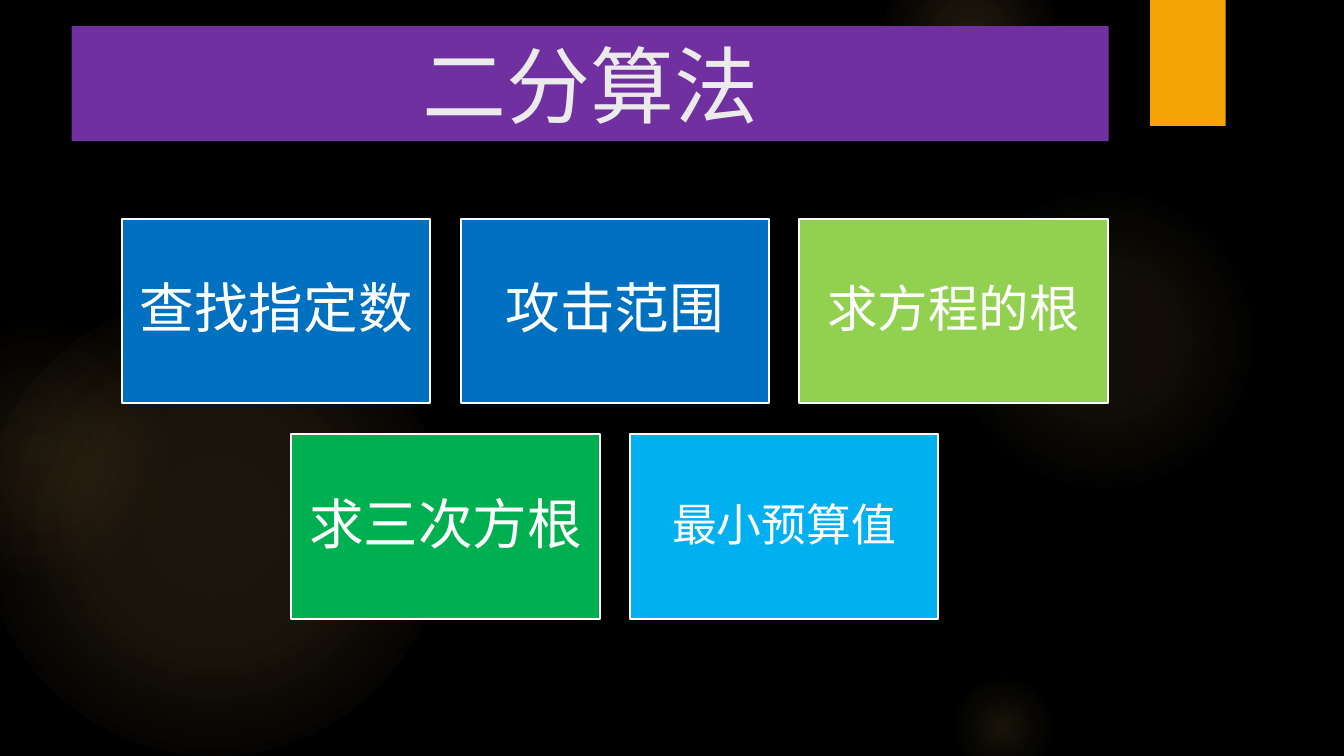
"""Build a slide listing five uses of binary search."""
from typing import NamedTuple

from lxml import etree
from pptx import Presentation
from pptx.dml.color import RGBColor
from pptx.enum.shapes import MSO_SHAPE
from pptx.enum.text import MSO_ANCHOR, PP_ALIGN
from pptx.oxml import parse_xml
from pptx.oxml.ns import nsdecls, qn
from pptx.util import Pt

RECTANGLE = MSO_SHAPE.RECTANGLE
OVAL = MSO_SHAPE.OVAL
MIDDLE = MSO_ANCHOR.MIDDLE
CENTER = PP_ALIGN.CENTER

CARD_WIDTH, CARD_HEIGHT = 220.32, 131.76
COLUMN_PITCH, ROW_PITCH = 241.92, 154.08
CARDS_CENTER, CARDS_TOP = 439.2, 156.24
CARD_FONT = "Noto Sans CJK SC"
GOLD = "FAC96A"


class Glow(NamedTuple):
    left: float
    top: float
    size: float
    opacity: int
    middle_stop: int
    middle_opacity: int
    end_stop: int
    end_color: str = GOLD


class Card(NamedTuple):
    text: str
    fill: str
    size: int = 39
    inset: float = 11.5


GLOWS = [
    Glow(-12.24, 210.24, 329.76, 11, 36, 10, 75),
    Glow(-66.24, 228.24, 185.76, 8, 36, 5, 71, "F59B74"),
    Glow(677.52, 131.76, 221.76, 7, 36, 6, 69),
    Glow(630, -36, 126, 14, 36, 7, 73),
    Glow(677.52, 480.24, 77.76, 10, 31, 5, 66),
]

CARD_ROWS = [
    [
        Card("查找指定数", "0070C0"),
        Card("攻击范围", "0070C0"),
        Card("求方程的根", "92D050", 36, 10.8),
    ],
    [
        Card("求三次方根", "00B050"),
        Card("最小预算值", "00B0F0", 32, 9.4),
    ],
]


def color(value: str) -> RGBColor:
    """Turn a hex string into a colour."""
    return RGBColor.from_string(value)


def add_block(slide, kind, left: float, top: float, width: float, height: float,
              fill: str | None = None, line: str | None = None):
    """Add a shape with an optional solid fill and outline."""
    shape = slide.shapes.add_shape(kind, Pt(left), Pt(top), Pt(width), Pt(height))
    shape.shadow.inherit = False
    if fill:
        shape.fill.solid()
        shape.fill.fore_color.rgb = color(fill)
    else:
        shape.fill.background()
    if line:
        shape.line.color.rgb = color(line)
        shape.line.width = Pt(1.5)
    else:
        shape.line.fill.background()
    return shape


def write_text(shape, text: str, font_name: str, size: float, text_color: str,
               inset: float, line_spacing: float = 1.0) -> None:
    """Put one centred line of text into a shape."""
    frame = shape.text_frame
    frame_format = {
        "word_wrap": True,
        "vertical_anchor": MIDDLE,
        "margin_left": Pt(inset),
        "margin_right": Pt(inset),
        "margin_top": Pt(inset),
        "margin_bottom": Pt(inset),
    }
    for name, value in frame_format.items():
        setattr(frame, name, value)
    paragraph = frame.paragraphs[0]
    paragraph.alignment = CENTER
    paragraph.line_spacing = line_spacing
    run = paragraph.add_run()
    run.text = text
    for name, value in {"name": font_name, "size": Pt(size)}.items():
        setattr(run.font, name, value)
    run.font.color.rgb = color(text_color)
    east_asian = etree.SubElement(run.font._element, qn("a:ea"))
    east_asian.set("typeface", font_name)


def add_glow(slide, glow: Glow) -> None:
    """Add a circle that fades out from its centre."""
    shape = add_block(slide, OVAL, glow.left, glow.top, glow.size, glow.size)
    stops = [
        (0, GOLD, glow.opacity),
        (glow.middle_stop, GOLD, glow.middle_opacity),
        (glow.end_stop, glow.end_color, 0),
    ]
    stop_xml = "".join(
        f'<a:gs pos="{position * 1000}"><a:srgbClr val="{value}">'
        f'<a:alpha val="{opacity * 1000}"/></a:srgbClr></a:gs>'
        for position, value, opacity in stops
    )
    gradient = parse_xml(
        f'<a:gradFill {nsdecls("a")}><a:gsLst>{stop_xml}</a:gsLst>'
        '<a:path path="circle">'
        '<a:fillToRect l="50000" t="50000" r="50000" b="50000"/>'
        '</a:path></a:gradFill>'
    )
    properties = shape.element.spPr
    properties.replace(properties.find(qn("a:noFill")), gradient)


def add_card_row(slide, cards: list[Card], top: float) -> None:
    """Add a centred row of cards."""
    row_width = (len(cards) - 1) * COLUMN_PITCH + CARD_WIDTH
    first_left = CARDS_CENTER - row_width / 2
    for column, card in enumerate(cards):
        shape = add_block(slide, RECTANGLE, first_left + column * COLUMN_PITCH, top,
                          CARD_WIDTH, CARD_HEIGHT, card.fill, "FFFFFF")
        write_text(shape, card.text, CARD_FONT, card.size, "FFFFFF", card.inset, 0.9)


def main() -> None:
    """Create and save the presentation."""
    presentation = Presentation()
    presentation.slide_width, presentation.slide_height = Pt(960), Pt(540)
    slide = presentation.slides.add_slide(presentation.slide_layouts[6])
    slide.background.fill.solid()
    slide.background.fill.fore_color.rgb = color("000000")
    for glow in GLOWS:
        add_glow(slide, glow)
    add_block(slide, RECTANGLE, 821.52, 0, 54, 90, "F5A408")
    title = add_block(slide, RECTANGLE, 51.12, 18.72, 740.88, 82.08, "7030A0")
    write_text(title, "二分算法", "League Spartan", 60, "EBEBEB", 3.6)
    for row, cards in enumerate(CARD_ROWS):
        add_card_row(slide, cards, CARDS_TOP + row * ROW_PITCH)
    presentation.save("out.pptx")


if __name__ == "__main__":
    main()
